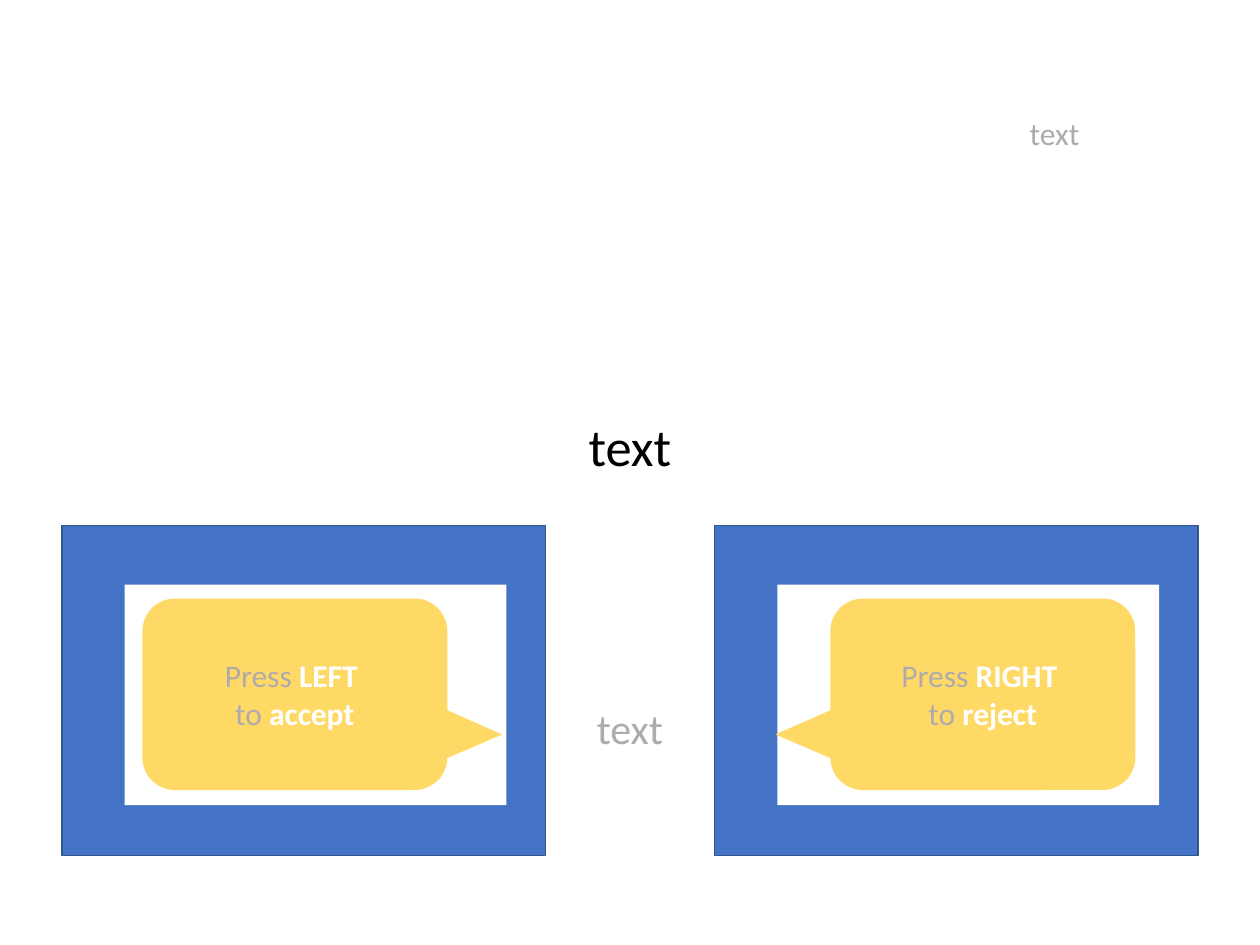
import pptx
import pptx.dml.color
import pptx.enum.shapes
import pptx.enum.text
import pptx.util

Inches = pptx.util.Inches
Pt = pptx.util.Pt
Shapes = pptx.enum.shapes.MSO_SHAPE
Anchor = pptx.enum.text.MSO_ANCHOR
CENTER = pptx.enum.text.PP_ALIGN.CENTER

GREY, WHITE, BLACK = "AFABAB", "FFFFFF", "000000"
BLUE, NAVY, YELLOW = "4472C4", "325491", "FFD966"


def color(hex_string):
    return pptx.dml.color.RGBColor.from_string(hex_string)


def set_values(target, values):
    for name, value in values.items():
        setattr(target, name, value)


def add_run(paragraph, words, size, hex_string, bold=False):
    run = paragraph.add_run()
    run.text = words
    set_values(run.font, {"name": "Calibri", "size": Pt(size), "bold": bold})
    run.font.color.rgb = color(hex_string)


def add_label(slide, box, words, size, hex_string, anchor=Anchor.TOP, **spacing):
    label = slide.shapes.add_textbox(*map(Inches, box))
    set_values(label.text_frame, {"word_wrap": True, "vertical_anchor": anchor})
    paragraph = label.text_frame.paragraphs[0]
    set_values(paragraph, {"alignment": CENTER, **spacing})
    add_run(paragraph, words, size, hex_string)


def add_block(slide, kind, box, fill, line=None):
    block = slide.shapes.add_shape(kind, *map(Inches, box))
    block.shadow.inherit = False
    block.fill.solid()
    block.fill.fore_color.rgb = color(fill)
    if line:
        block.line.color.rgb = color(line)
        block.line.width = Pt(1)
    else:
        block.line.fill.background()
    return block


def add_key_panel(slide, box, bubble_offset, tail_side, key, action):
    left, top, width, height = box
    # Blue frame with a white window
    add_block(slide, Shapes.RECTANGLE, box, BLUE, NAVY)
    add_block(slide, Shapes.RECTANGLE, (left + 0.5, top + 0.47, 3.03, 1.75), WHITE)

    # Speech bubble, its tail pointing to the given side
    bubble = add_block(slide, Shapes.ROUNDED_RECTANGULAR_CALLOUT,
                       (left + bubble_offset, top + 0.58, 2.42, 1.52), YELLOW)
    for index, value in enumerate((0.68 * tail_side, 0.21, 0.17)):
        bubble.adjustments[index] = value
    frame = bubble.text_frame
    set_values(frame, {"word_wrap": True, "vertical_anchor": Anchor.MIDDLE})
    lines = (("Press ", key + " "), ("to ", action))
    for paragraph, (lead, strong) in zip((frame.paragraphs[0], frame.add_paragraph()), lines):
        paragraph.alignment = CENTER
        add_run(paragraph, lead, 18, GREY)
        add_run(paragraph, strong, 18, WHITE, bold=True)


def main():
    deck = pptx.Presentation()
    set_values(deck, {"slide_width": Inches(10), "slide_height": Inches(7.5)})
    slide = deck.slides.add_slide(deck.slide_layouts[6])

    # Title, subtitle and corner text
    add_label(slide, (0.75, 1.23, 8.5, 2.61), "text", 30, BLACK, Anchor.BOTTOM,
              line_spacing=0.9)
    add_label(slide, (1.25, 5.57, 7.5, 0.71), "text", 24, GREY,
              line_spacing=0.9, space_before=Pt(10))
    add_label(slide, (7.49, 0.86, 1.76, 0.4), "text", 18, GREY)

    # Response keys
    add_key_panel(slide, (5.67, 4.17, 3.84, 2.62), 0.92, -1, "RIGHT", "reject")
    add_key_panel(slide, (0.49, 4.17, 3.84, 2.62), 0.64, 1, "LEFT", "accept")

    deck.save("out.pptx")


if __name__ == "__main__":
    main()
